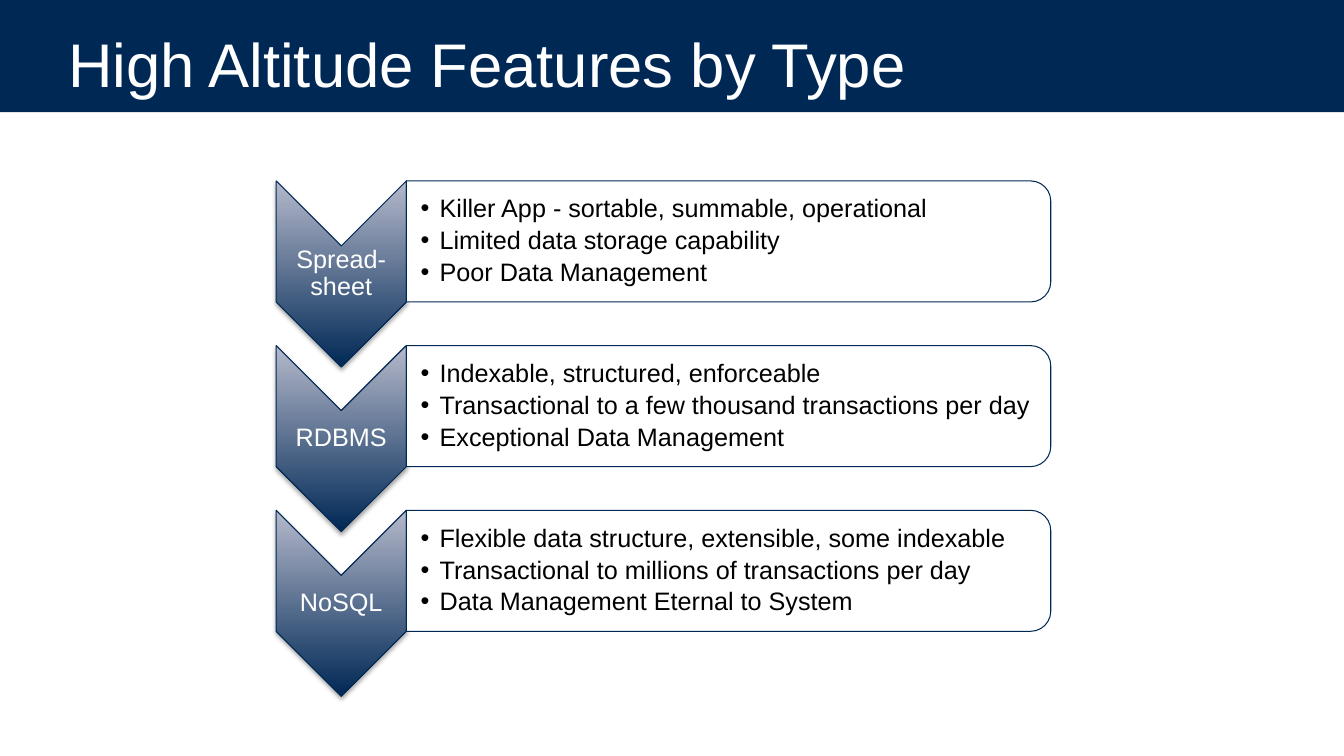
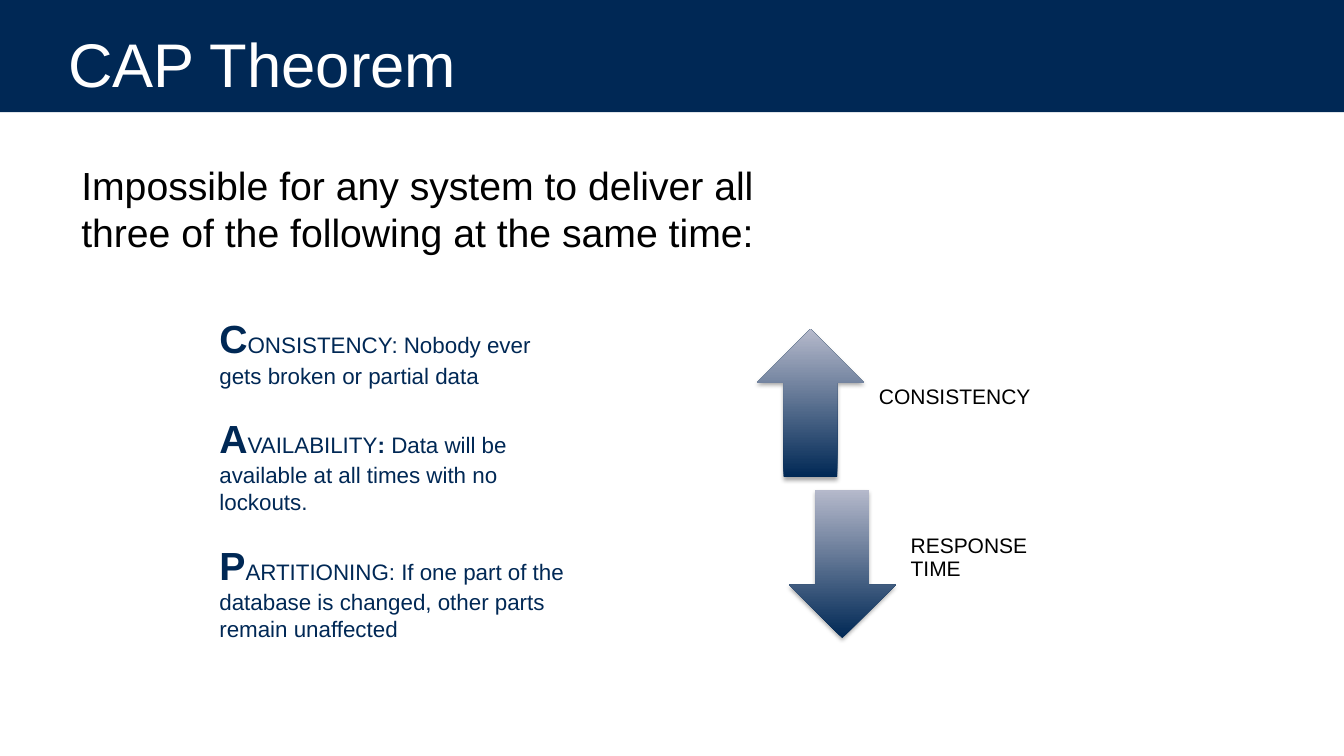
from lxml.etree import SubElement
from pptx import Presentation
from pptx.dml.color import RGBColor
from pptx.enum.shapes import MSO_SHAPE
from pptx.enum.text import MSO_ANCHOR, PP_ALIGN
from pptx.oxml.ns import qn
from pptx.util import Cm, Pt

HUES = {"navy": "002855", "mist": "B5B9CB", "white": "FFFFFF", "ink": "000000"}
FONT = "Arial"
WIDE, HIGH = 33.87, 19.05

TYPES = [
    ("Spread-sheet", ["Killer App - sortable, summable, operational",
                      "Limited data storage capability",
                      "Poor Data Management"]),
    ("RDBMS", ["Indexable, structured, enforceable",
               "Transactional to a few thousand transactions per day",
               "Exceptional Data Management"]),
    ("NoSQL", ["Flexible data structure, extensible, some indexable",
               "Transactional to millions of transactions per day",
               "Data Management Eternal to System"]),
]
INTRO = "Impossible for any system to deliver all three of the following at the same time:"
TERMS = [
    [("C", 28, True), ("ONSISTENCY: Nobody ever gets broken or partial data", 16, False)],
    [("A", 28, True), ("VAILABILITY", 16, False), (": ", 16, True),
     ("Data will be available at all times with no lockouts.", 16, False)],
    [("P", 28, True), ("ARTITIONING: If one part of the database is changed, "
                       "other parts remain unaffected", 16, False)],
]
TRENDS = [(MSO_SHAPE.UP_ARROW, "CONSISTENCY"), (MSO_SHAPE.DOWN_ARROW, "RESPONSE TIME")]


def hue(name):
    """Return a named colour."""
    return RGBColor.from_string(HUES[name])


def dot(para, hang):
    """Give a paragraph a bullet with a hanging indent in cm."""
    props = para._p.get_or_add_pPr()
    props.set("marL", str(Cm(hang)))
    props.set("indent", str(-Cm(hang)))
    SubElement(props, qn("a:buFont")).set("typeface", FONT)
    SubElement(props, qn("a:buChar")).set("char", "•")


def write(slide, paras, box, size=18, ink="ink", pads=(0.25, 0.13, 0.25, 0.13),
          mid=False, align=PP_ALIGN.LEFT, lead=1.0, before=0, after=0, hang=0):
    """Write paragraphs, each a string or a list of (text, size, bold) runs."""
    frame = slide.shapes.add_textbox(*map(Cm, box)).text_frame
    frame.word_wrap = True
    frame.margin_left, frame.margin_top, frame.margin_right, frame.margin_bottom = map(Cm, pads)
    frame.vertical_anchor = MSO_ANCHOR.MIDDLE if mid else MSO_ANCHOR.TOP
    for num, runs in enumerate(paras):
        para = frame.add_paragraph() if num else frame.paragraphs[0]
        if hang:
            dot(para, hang)
        para.alignment, para.line_spacing = align, lead
        para.space_before, para.space_after = Pt(before if num else 0), Pt(after)
        for text, points, bold in [(runs, size, False)] if isinstance(runs, str) else runs:
            run = para.add_run()
            run.text = text
            font = run.font
            font.name, font.size, font.bold = FONT, Pt(points), bold
            font.color.rgb = hue(ink)


def draw(slide, kind, box, turn=0, fill=None, line=None):
    """Draw a preset shape whose box is given as seen after a turn of 0 or 90."""
    left, top, wide, high = box
    if turn:
        shift = (wide - high) / 2
        left, top, wide, high = left + shift, top - shift, high, wide
    shape = slide.shapes.add_shape(kind, *map(Cm, (left, top, wide, high)))
    shape.rotation = turn
    shape.shadow.inherit = False
    if fill:
        shape.fill.solid()
        shape.fill.fore_color.rgb = hue(fill)
    if line:
        shape.line.color.rgb = hue(line)
        shape.line.width = Pt(0.75)
    else:
        shape.line.fill.background()
    return shape


def shade(shape):
    """Fade a shape from navy at its foot to mist, over a soft shadow."""
    shape.fill.gradient()
    shape.fill.gradient_angle = 90 + shape.rotation
    for stop, name in zip(shape.fill.gradient_stops, ("navy", "mist")):
        stop.color.rgb = hue(name)
    glow = SubElement(shape._element.spPr.find(qn("a:effectLst")), qn("a:outerShdw"),
                      blurRad=str(Pt(3.1)), dist=str(Pt(1.8)), dir="5400000", rotWithShape="0")
    tint = SubElement(glow, qn("a:srgbClr"), val=HUES["ink"])
    SubElement(tint, qn("a:alpha"), val="35000")


def start(deck, title):
    """Add a slide with the title band."""
    slide = deck.slides.add_slide(deck.slide_layouts[6])
    draw(slide, MSO_SHAPE.RECTANGLE, (0, 0, WIDE, 2.83), fill="navy")
    write(slide, [title], (1.47, 0.38, 30.48, 2.39), size=44, ink="white", mid=True)
    return slide


def row(slide, box, label, points):
    """Place a chevron with its label and a panel of bullets."""
    left, top, wide, high = box
    side = 3.28
    thin = (0.03, 0.03, 0.03, 0.03)
    shade(draw(slide, MSO_SHAPE.CHEVRON, (left, top, side, high + side / 2),
               turn=90, line="navy"))
    write(slide, [label], (left, top + side / 2, side, 1.4), ink="white", pads=thin,
          mid=True, align=PP_ALIGN.CENTER, lead=0.9)
    draw(slide, MSO_SHAPE.ROUND_2_SAME_RECTANGLE, (left + side, top, wide - side, high),
         turn=90, fill="white", line="navy")
    write(slide, points, (left + side, top + 0.15, wide - side - 0.15, high - 0.3),
          pads=(0.36, 0.03, 0.03, 0.03), mid=True, lead=0.9, after=3.3, hang=0.48)


def trend(slide, box, kind, label):
    """Place a shaded arrow with its label on the right."""
    left, top, wide, high = box
    side = 2.69
    shade(draw(slide, kind, (left, top, side, high)))
    write(slide, [label], (left + side + 0.08, top, wide - side - 0.08, high), size=15,
          pads=(0.3, 0, 0.3, 0.3), mid=True, lead=0.9)


def types(deck):
    """Build the slide of features by type."""
    slide = start(deck, "High Altitude Features by Type")
    for num, (label, points) in enumerate(TYPES):
        row(slide, (6.96, 4.56 + num * 4.15, 19.52, 3.05), label, points)


def theorem(deck):
    """Build the slide of the theorem."""
    slide = start(deck, "CAP Theorem")
    write(slide, [INTRO], (1.8, 3.94, 18.42, 2.64), size=28)
    write(slide, TERMS, (5.28, 7.8, 9.53, 8.26), ink="navy", before=18.4)
    for num, (kind, label) in enumerate(TRENDS):
        trend(slide, (19.08 + num * 0.8, 8.3 + num * 4.05, 7.34, 3.73), kind, label)


def main():
    """Build and save the deck."""
    deck = Presentation()
    deck.slide_width, deck.slide_height = Cm(WIDE), Cm(HIGH)
    types(deck)
    theorem(deck)
    deck.save("out.pptx")


if __name__ == "__main__":
    main()
